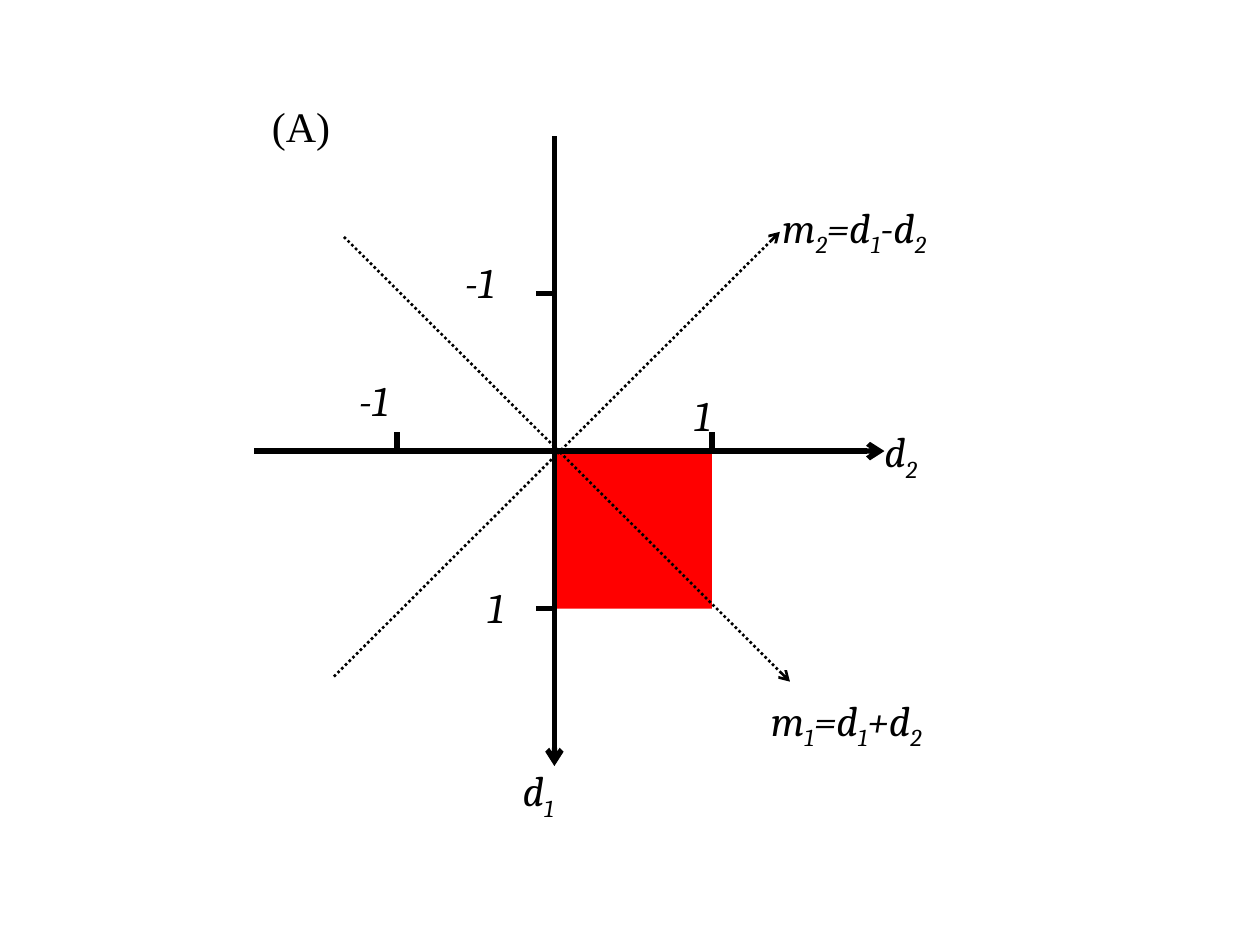
from typing import NamedTuple

from pptx import Presentation
from pptx import util as u
from pptx.dml.color import RGBColor
from pptx.enum import dml, shapes, text
from pptx.oxml.ns import qn
from lxml import etree

BLACK = RGBColor(0, 0, 0)
RED = RGBColor(255, 0, 0)

# Plot geometry in inches
ORIGIN_X, ORIGIN_Y = 4.4, 3.58
UNIT = 1.25
TICK = 0.13


class Line(NamedTuple):
    x1: float
    y1: float
    x2: float
    y2: float
    width: float = 3
    dotted: bool = False
    arrow: bool = False


class Label(NamedTuple):
    x: float
    y: float
    width: float
    text: str  # "_" lowers the character after it
    font: str = "Cambria"
    italic: bool = True


AXES = [
    Line(2.02, ORIGIN_Y, 7.02, ORIGIN_Y, arrow=True),
    Line(ORIGIN_X, 1.08, ORIGIN_X, 6.08, arrow=True),
]
DIAGONALS = [
    Line(2.73, 1.88, 6.27, 5.41, 1.5, dotted=True, arrow=True),
    Line(2.65, 5.37, 6.19, 1.84, 1.5, dotted=True, arrow=True),
]
LABELS = [
    Label(6.92, 3.33, 1.14, "d_2"),
    Label(4.05, 6.02, 1.09, "d_1"),
    Label(5.41, 3.04, 0.62, "1"),
    Label(3.59, 1.99, 1.01, "-1"),
    Label(2.75, 2.92, 1.18, "-1"),
    Label(3.77, 4.57, 0.62, "1"),
    Label(6.02, 5.46, 2.2, "m_1=d_1+d_2"),
    Label(6.11, 1.55, 2.5, "m_2=d_1-d_2"),
    Label(2.06, 0.75, 1.33, "(A)", "Times New Roman", False),
]


def tick_marks() -> list[Line]:
    """One tick on each axis at -1 and at 1."""
    ticks = []
    for value in (-1, 1):
        x, y = ORIGIN_X + value * UNIT, ORIGIN_Y + value * UNIT
        ticks.append(Line(x, ORIGIN_Y - 0.15, x, ORIGIN_Y - 0.15 + TICK))
        ticks.append(Line(ORIGIN_X - 0.02, y, ORIGIN_X - 0.02 - TICK, y))
    return ticks


def draw_line(s, line: Line) -> None:
    ends = [u.Inches(v) for v in (line.x1, line.y1, line.x2, line.y2)]
    c = s.shapes.add_connector(shapes.MSO_CONNECTOR.STRAIGHT, *ends)
    c.line.color.rgb = BLACK
    c.line.width = u.Pt(line.width)
    if line.dotted:
        c.line.dash_style = dml.MSO_LINE.ROUND_DOT
    if line.arrow:
        etree.SubElement(c.line._get_or_add_ln(), qn("a:tailEnd"), type="arrow")
    etree.SubElement(c._element.spPr, qn("a:effectLst"))


def add_run(p, content: str, label: Label, subscript: bool = False) -> None:
    r = p.add_run()
    r.text = content
    r.font.name = label.font
    r.font.size = u.Pt(24)
    r.font.italic = label.italic
    r.font.color.rgb = BLACK
    if subscript:
        r.font._element.set("baseline", "-25000")


def draw_label(s, label: Label) -> None:
    sp = s.shapes.add_textbox(u.Inches(label.x), u.Inches(label.y),
                              u.Inches(label.width), u.Inches(0.5))
    tf = sp.text_frame
    tf.word_wrap = True
    tf.auto_size = text.MSO_AUTO_SIZE.SHAPE_TO_FIT_TEXT
    p = tf.paragraphs[0]
    first, *rest = label.text.split("_")
    add_run(p, first, label)
    for part in rest:
        add_run(p, part[0], label, subscript=True)
        if part[1:]:
            add_run(p, part[1:], label)


def draw_unit_square(s) -> None:
    sp = s.shapes.add_shape(shapes.MSO_SHAPE.RECTANGLE, u.Inches(ORIGIN_X),
                            u.Inches(ORIGIN_Y), u.Inches(UNIT), u.Inches(UNIT))
    sp.shadow.inherit = False
    sp.fill.solid()
    sp.fill.fore_color.rgb = RED
    sp.line.fill.background()


def main() -> None:
    prs = Presentation()
    prs.slide_width, prs.slide_height = u.Inches(10), u.Inches(7.5)
    s = prs.slides.add_slide(prs.slide_layouts[6])

    # Highlighted region, then axes, ticks and diagonals above it
    draw_unit_square(s)
    for line in AXES + tick_marks() + DIAGONALS:
        draw_line(s, line)

    # Axis names, tick values and panel letter
    for label in LABELS:
        draw_label(s, label)

    prs.save("out.pptx")


if __name__ == "__main__":
    main()
